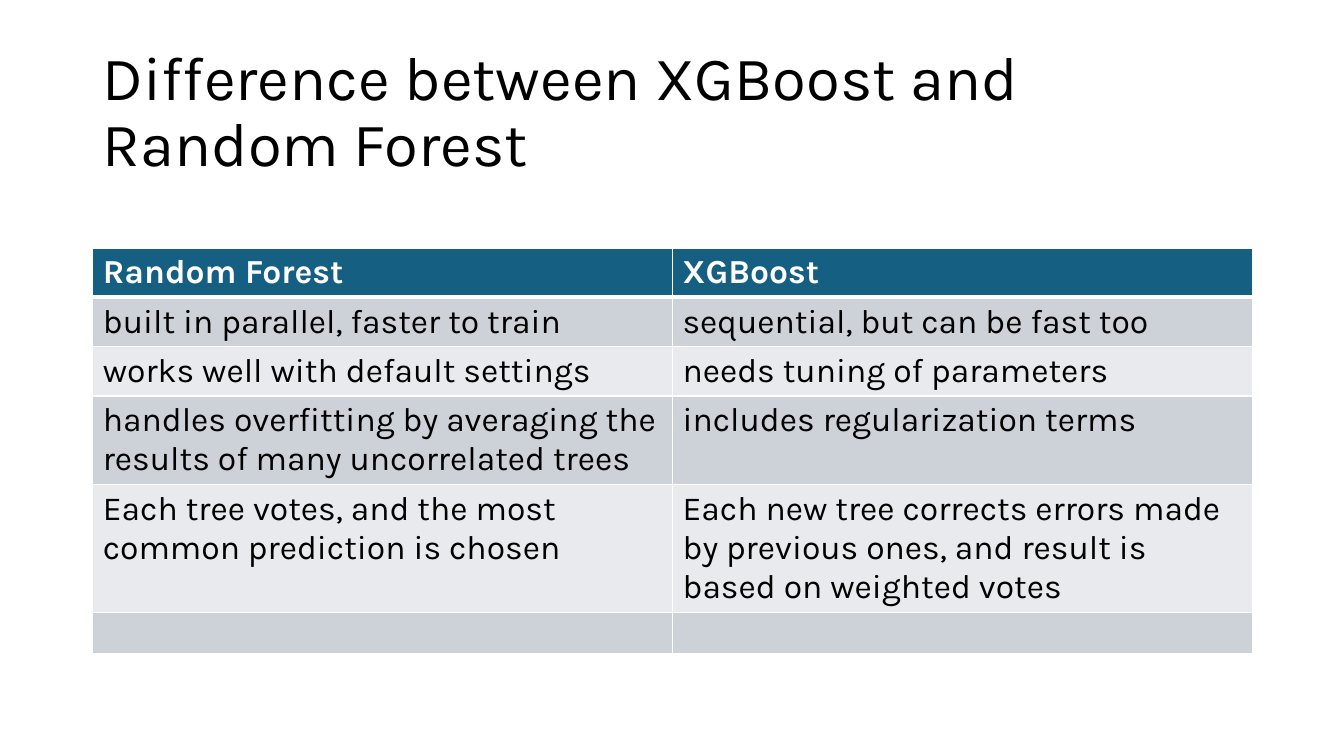
from dataclasses import dataclass

from lxml import etree
from pptx import Presentation
from pptx.dml.color import RGBColor
from pptx.enum.text import MSO_ANCHOR, MSO_AUTO_SIZE, PP_ALIGN
from pptx.oxml.ns import qn
from pptx.slide import Slide
from pptx.table import _Cell
from pptx.text.text import TextFrame
from pptx.util import Inches, Pt

LEFT = PP_ALIGN.LEFT
MIDDLE = MSO_ANCHOR.MIDDLE
NO_AUTOFIT = MSO_AUTO_SIZE.NONE
TITLE_ONLY = 5


@dataclass(frozen=True)
class Theme:
    font: str = "Karla"
    title_size: int = 44
    table_size: int = 24
    text: str = "000000"
    header_text: str = "FFFFFF"
    header_fill: str = "156082"
    bands: tuple[str, str] = ("CCD2D8", "E8EAED")
    border: str = "FFFFFF"
    border_width: int = 1
    header_rule: int = 3


@dataclass(frozen=True)
class ComparisonRow:
    height: float
    random_forest: str = ""
    xgboost: str = ""


THEME = Theme()
MARGIN = 0.92
CONTENT_WIDTH = 11.5
TITLE = "Difference between XGBoost and Random Forest"
ROWS = [
    ComparisonRow(0.48, "Random Forest", "XGBoost"),
    ComparisonRow(0.49, "built in parallel, faster to train", "sequential, but can be fast too"),
    ComparisonRow(0.49, "works well with default settings", "needs tuning of parameters"),
    ComparisonRow(
        0.87,
        "handles overfitting by averaging the results of many uncorrelated trees",
        "includes regularization terms",
    ),
    ComparisonRow(
        1.27,
        "Each tree votes, and the most common prediction is chosen",
        "Each new tree corrects errors made by previous ones, and result is based on weighted votes",
    ),
    ComparisonRow(0.38),
]


def add_text(tf: TextFrame, text: str, size: int, color: str, bold: bool = False) -> None:
    p = tf.paragraphs[0]
    p.alignment = LEFT
    r = p.add_run()
    r.text = text
    r.font.name = THEME.font
    r.font.size = Pt(size)
    r.font.bold = bold
    r.font.color.rgb = RGBColor.from_string(color)


def add_border(cell: _Cell, side: str, width: int) -> None:
    props = cell._tc.get_or_add_tcPr()
    line = etree.SubElement(props, qn(f"a:ln{side}"), w=str(Pt(width)))
    fill = etree.SubElement(line, qn("a:solidFill"))
    etree.SubElement(fill, qn("a:srgbClr"), val=THEME.border)


def add_title(s: Slide) -> None:
    sp = s.shapes.title
    sp.left, sp.top = Inches(MARGIN), Inches(0.4)
    sp.width, sp.height = Inches(CONTENT_WIDTH), Inches(1.45)
    tf = sp.text_frame
    tf.word_wrap = True
    tf.auto_size = NO_AUTOFIT
    tf.vertical_anchor = MIDDLE
    add_text(tf, TITLE, THEME.title_size, THEME.text)
    tf.paragraphs[0].line_spacing = 0.9


def format_cell(cell: _Cell, text: str, row: int) -> None:
    header = row == 0
    for side in "LRTB":
        below_header = (header and side == "B") or (row == 1 and side == "T")
        add_border(cell, side, THEME.header_rule if below_header else THEME.border_width)
    cell.fill.solid()
    fill = THEME.header_fill if header else THEME.bands[(row - 1) % 2]
    cell.fill.fore_color.rgb = RGBColor.from_string(fill)
    if text:
        color = THEME.header_text if header else THEME.text
        add_text(cell.text_frame, text, THEME.table_size, color, header)


def add_comparison(s: Slide) -> None:
    height = sum(row.height for row in ROWS)
    table = s.shapes.add_table(
        len(ROWS), 2, Inches(MARGIN), Inches(2.46), Inches(CONTENT_WIDTH), Inches(height)
    ).table
    for i, row in enumerate(ROWS):
        table.rows[i].height = Inches(row.height)
        for j, text in enumerate((row.random_forest, row.xgboost)):
            format_cell(table.cell(i, j), text, i)


def main() -> None:
    prs = Presentation()
    prs.slide_width, prs.slide_height = Inches(13.33), Inches(7.5)
    s = prs.slides.add_slide(prs.slide_layouts[TITLE_ONLY])
    add_title(s)
    add_comparison(s)
    prs.save("out.pptx")


if __name__ == "__main__":
    main()
